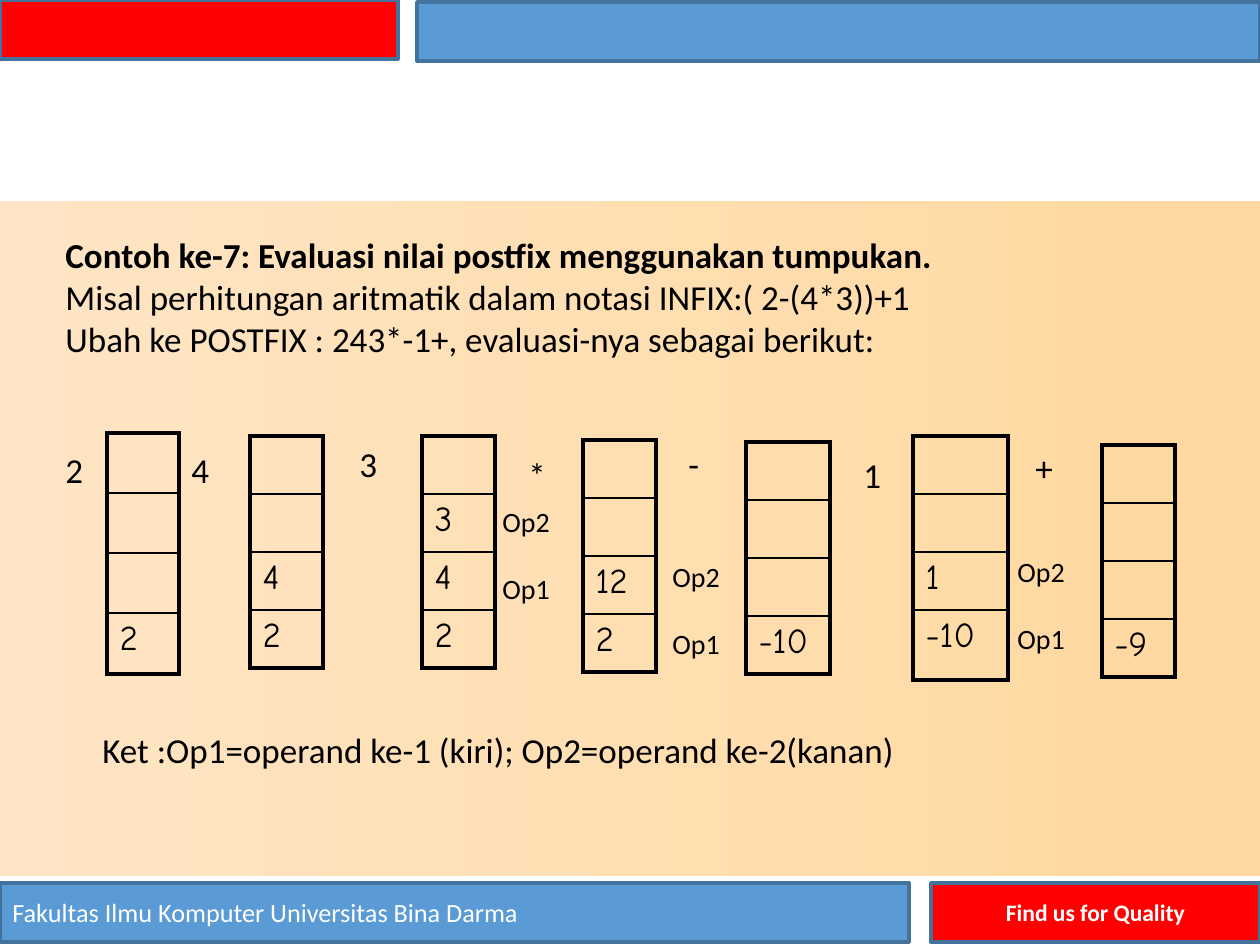
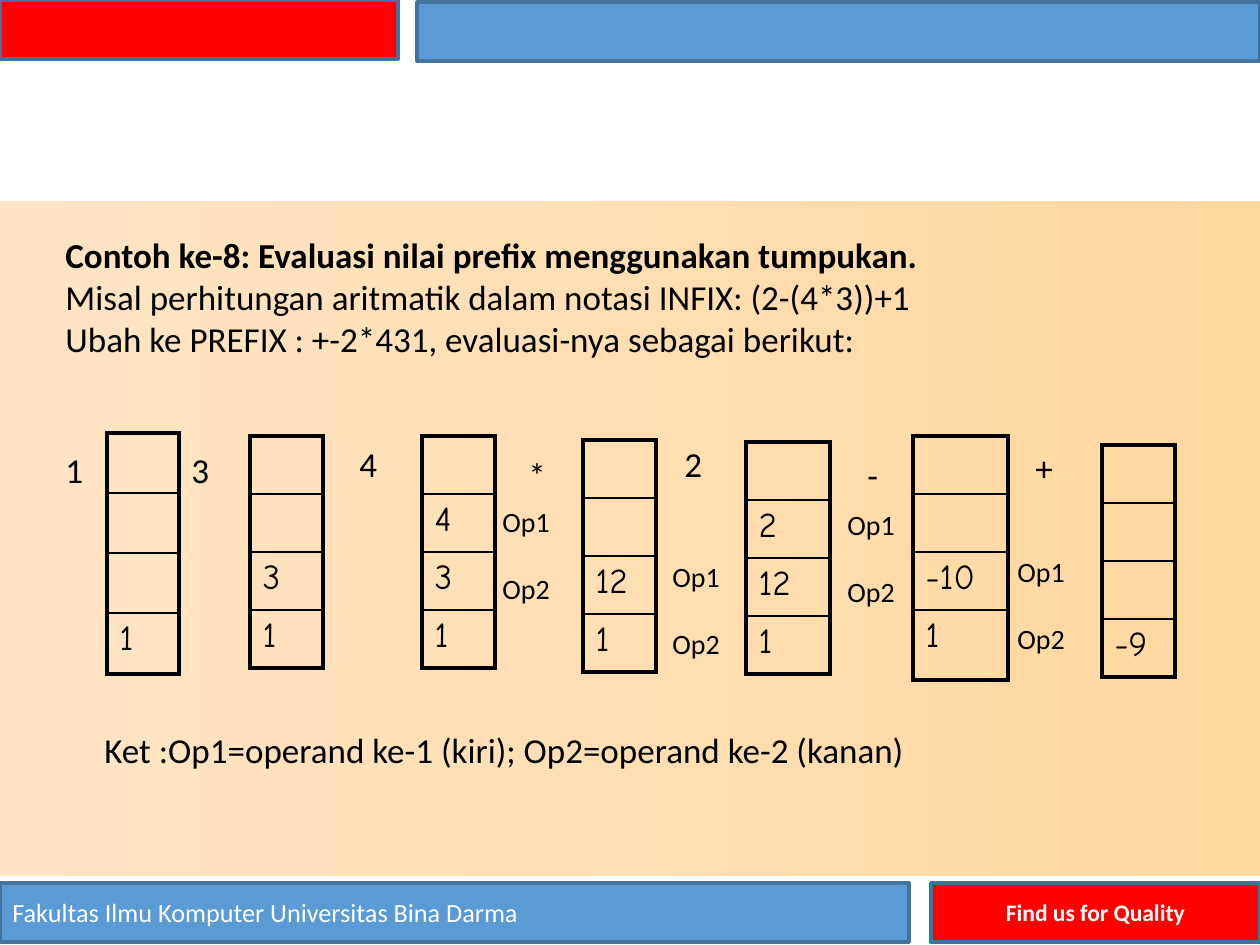
from lxml import etree
from pptx import Presentation
from pptx.dml.color import RGBColor
from pptx.enum.shapes import MSO_SHAPE
from pptx.enum.text import MSO_AUTO_SIZE, PP_ALIGN
from pptx.oxml.ns import qn
from pptx.util import Emu, Pt

RECTANGLE = MSO_SHAPE.RECTANGLE
FIT_SHAPE = MSO_AUTO_SIZE.SHAPE_TO_FIT_TEXT
LEFT, CENTER, JUSTIFY = PP_ALIGN.LEFT, PP_ALIGN.CENTER, PP_ALIGN.JUSTIFY

RED, BLUE, BAND_LINE = "FF0000", "5B9BD5", "43729D"
PANEL_RIGHT, PANEL_LEFT = "FFD89F", "FFE5C5"
BLACK, WHITE = "000000", "FFFFFF"
BODY_FONT, STACK_FONT = "Calibri", "Comic Neue"
OUTER_BORDER, INNER_BORDER = Pt(2.21), Pt(0.96)
OPERAND_GAP = 19.5

# left, top, width, height, fill, text, size, bold, alignment
BANDS = [
    (0, 0, 398, 59, RED, "", 15, False, LEFT),
    (417, 2, 843, 59, BLUE, "", 15, False, LEFT),
    (0, 883, 909, 59, BLUE, "Fakultas Ilmu Komputer Universitas Bina Darma", 15, False, LEFT),
    (931, 883, 329, 59, RED, "Find us for Quality", 13.5, True, CENTER),
]

# left, top, width, row height, last row height
STACKS = [
    (107, 433, 72, 60, 61),
    (250, 436, 73, 58, 58),
    (422, 436, 73, 58, 58),
    (583, 440, 73, 58, 58),
    (746, 442, 84, 58, 58),
    (913, 436, 95, 58, 70),
    (1102, 445, 73, 58, 58),
]
STACK_ROWS = 4

# centre, top of the symbol read before each stack
SYMBOL_PLACES = [(76, 442), (202, 442), (370, 436), (537, 447), (695, 436), (874, 447), (1050, 440)]
SYMBOL_WIDTHS = {"*": 42, "-": 38, "+": 54}
DIGIT_WIDTH = 46

OPERAND_PLACES = [(490, 498), (660, 553), (1005, 548)]

EXAMPLES = [
    {
        "heading": [
            "Contoh ke-7: Evaluasi nilai postfix menggunakan tumpukan.",
            "Misal perhitungan aritmatik dalam notasi INFIX:( 2-(4*3))+1",
            "Ubah ke POSTFIX : 243*-1+, evaluasi-nya sebagai berikut:",
        ],
        "symbols": "243*-1+",
        "stacks": [["2"], ["4", "2"], ["3", "4", "2"], ["12", "2"], ["-10"], ["1", "-10"], ["-9"]],
        "operands": ["Op2", "Op1"],
        "operand_places": OPERAND_PLACES,
        "note": "Ket :Op1=operand ke-1 (kiri); Op2=operand ke-2(kanan)",
        "note_left": 90,
    },
    {
        "heading": [
            "Contoh ke-8: Evaluasi nilai prefix menggunakan tumpukan.",
            "Misal perhitungan aritmatik dalam notasi INFIX: (2-(4*3))+1",
            "Ubah ke PREFIX : +-2*431, evaluasi-nya sebagai berikut:",
        ],
        "symbols": "134*2-+",
        "stacks": [["1"], ["3", "1"], ["4", "3", "1"], ["12", "1"], ["2", "12", "1"], ["-10", "1"], ["-9"]],
        "operands": ["Op1", "Op2"],
        "operand_places": OPERAND_PLACES + [(835, 501)],
        "note": "Ket :Op1=operand ke-1 (kiri); Op2=operand ke-2 (kanan)",
        "note_left": 92,
    },
]


def px(*lengths):
    """Turn lengths at 126 px to the inch into EMU."""
    return [Emu(round(length * 914400 / 126)) for length in lengths]


def add_run(paragraph, text, size, color=BLACK, font=BODY_FONT, bold=False):
    run = paragraph.add_run()
    run.text = text
    run.font.size = Pt(size)
    run.font.name = font
    run.font.bold = bold
    run.font.color.rgb = RGBColor.from_string(color)


presentation = Presentation()
presentation.slide_width, presentation.slide_height = px(1260, 945)
layout = presentation.slide_layouts[6]
for placeholder in list(layout.placeholders):
    layout.shapes.element.remove(placeholder.element)
slides = [presentation.slides.add_slide(layout) for example in EXAMPLES]

# The panel and bands are drawn on the first slide, then moved to the shared layout
first_shapes = slides[0].shapes
panel = first_shapes.add_shape(RECTANGLE, *px(0, 201, 1260, 675))
panel.shadow.inherit = False
panel.line.fill.background()
panel.fill.gradient()
panel.fill.gradient_angle = 180
for stop, color in zip(panel.fill.gradient_stops, (PANEL_RIGHT, PANEL_LEFT)):
    stop.color.rgb = RGBColor.from_string(color)

for left, top, width, height, fill, text, size, bold, alignment in BANDS:
    band = first_shapes.add_shape(RECTANGLE, *px(left, top, width, height))
    band.shadow.inherit = False
    band.fill.solid()
    band.fill.fore_color.rgb = RGBColor.from_string(fill)
    band.line.color.rgb = RGBColor.from_string(BAND_LINE)
    band.line.width = Pt(2)
    if text:
        paragraph = band.text_frame.paragraphs[0]
        paragraph.alignment = alignment
        add_run(paragraph, text, size, WHITE, bold=bold)

for shape in list(first_shapes):
    layout.shapes.element.append(shape.element)

for slide, example in zip(slides, EXAMPLES):
    heading = slide.shapes.add_textbox(*px(53, 227, 1166, 180)).text_frame
    heading.word_wrap = True
    for number, line in enumerate(example["heading"]):
        paragraph = heading.add_paragraph() if number else heading.paragraphs[0]
        paragraph.alignment = JUSTIFY if number < 2 else LEFT
        add_run(paragraph, line, 20, bold=number == 0)

    for (left, top, width, row_height, last_height), values in zip(STACKS, example["stacks"]):
        height = row_height * (STACK_ROWS - 1) + last_height
        table = slide.shapes.add_table(STACK_ROWS, 1, *px(left, top, width, height)).table
        table.first_row = table.horz_banding = False
        cell_texts = [""] * (STACK_ROWS - len(values)) + values
        for number, text in enumerate(cell_texts):
            is_last = number == STACK_ROWS - 1
            table.rows[number].height = px(last_height if is_last else row_height)[0]
            cell = table.cell(number, 0)
            cell_properties = cell._tc.get_or_add_tcPr()
            borders = {
                "a:lnL": OUTER_BORDER,
                "a:lnR": OUTER_BORDER,
                "a:lnT": INNER_BORDER if number else OUTER_BORDER,
                "a:lnB": OUTER_BORDER if is_last else INNER_BORDER,
            }
            for side, border_width in borders.items():
                border = etree.SubElement(cell_properties, qn(side), w=str(int(border_width)))
                border_fill = etree.SubElement(border, qn("a:solidFill"))
                etree.SubElement(border_fill, qn("a:srgbClr"), val=BLACK)
            cell.fill.background()
            if text:
                paragraph = cell.text_frame.paragraphs[0]
                paragraph.space_before = Pt(4)
                add_run(paragraph, text, 20, font=STACK_FONT)

    # left, top, width, height, lines, size
    labels = [(example["note_left"], 722, 1022, 54, [example["note"]], 20)]
    for symbol, (center, top) in zip(example["symbols"], SYMBOL_PLACES):
        width = SYMBOL_WIDTHS.get(symbol, DIGIT_WIDTH)
        labels.append((center - width // 2, top, width, 54, [symbol], 20))
    for left, top in example["operand_places"]:
        labels.append((left, top, 82, 113, example["operands"], 16))

    for left, top, width, height, lines, size in labels:
        frame = slide.shapes.add_textbox(*px(left, top, width, height)).text_frame
        frame.word_wrap = False
        frame.auto_size = FIT_SHAPE
        for number, line in enumerate(lines):
            paragraph = frame.add_paragraph() if number else frame.paragraphs[0]
            if number:
                paragraph.space_before = Pt(OPERAND_GAP)
            add_run(paragraph, line, size)

presentation.save("out.pptx")
